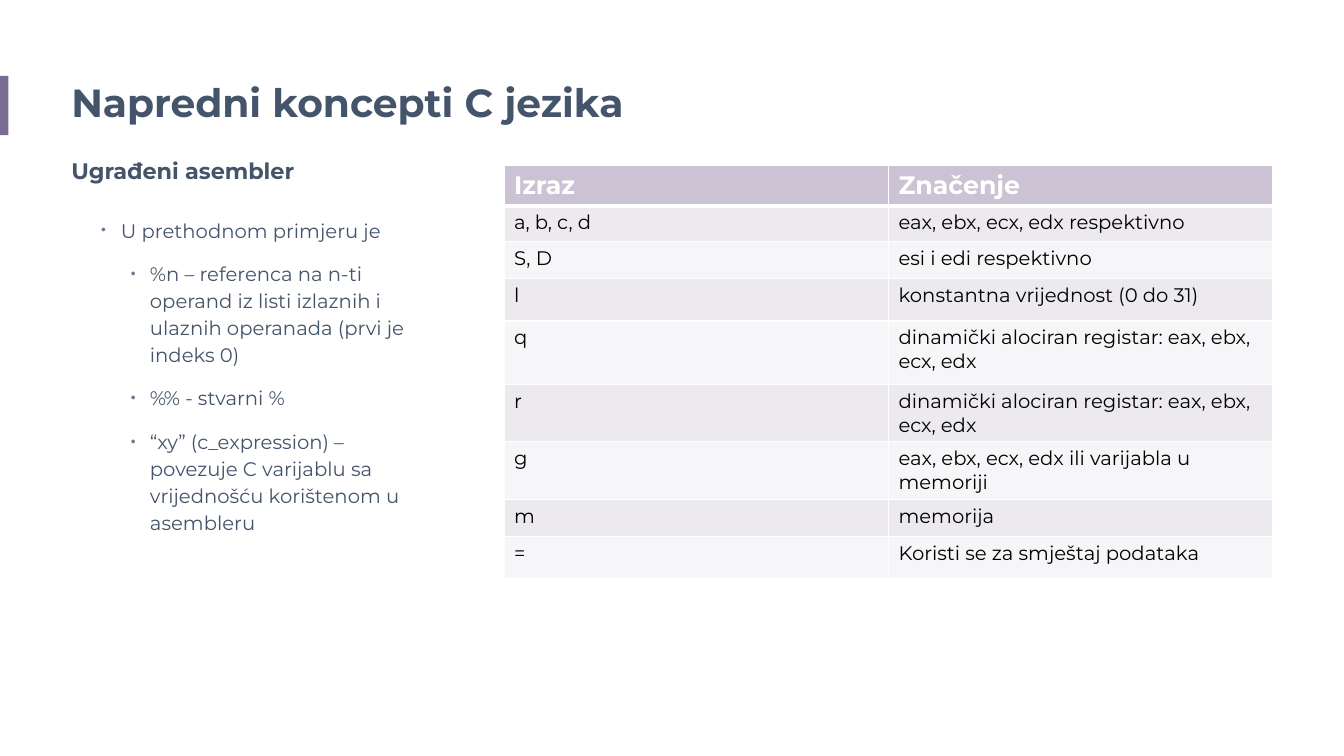
from lxml.etree import SubElement
from pptx import Presentation
from pptx.dml.color import RGBColor
from pptx.enum.shapes import MSO_SHAPE
from pptx.enum.text import MSO_ANCHOR
from pptx.oxml.ns import qn
from pptx.util import Cm, Pt

COLORS = {
    "accent": "7B6C93", "bullet": "846E96", "text": "44546A",
    "header": "CBC3D3", "odd": "ECE9EF", "even": "F6F5F7",
    "white": "FFFFFF", "black": "000000",
}
FONT = "Montserrat"


def write(para, text, size=14, color="text", bold=False, spacing=None, before=0, after=0):
    para.line_spacing = spacing
    para.space_before, para.space_after = Pt(before), Pt(after)
    span = para.add_run()
    span.text = text
    span.font.name, span.font.size, span.font.bold = FONT, Pt(size), bold
    span.font.color.rgb = RGBColor.from_string(COLORS[color])


def add_solid(parent, color):
    fill = SubElement(parent, qn("a:solidFill"))
    SubElement(fill, qn("a:srgbClr"), val=COLORS[color])


deck = Presentation()
deck.slide_width, deck.slide_height = Cm(33.87), Cm(19.05)
page = deck.slides.add_slide(deck.slide_layouts[6])

# Accent bar at the left edge
bar = page.shapes.add_shape(MSO_SHAPE.RECTANGLE, Cm(0), Cm(1.91), Cm(0.21), Cm(1.5))
bar.shadow.inherit = False
bar.fill.solid()
bar.fill.fore_color.rgb = RGBColor.from_string(COLORS["accent"])
bar.line.fill.background()

# Title
title = page.shapes.add_textbox(Cm(1.55), Cm(1.98), Cm(23.14), Cm(1.32)).text_frame
title.word_wrap = True
title.vertical_anchor = MSO_ANCHOR.MIDDLE
write(title.paragraphs[0], "Napredni koncepti C jezika", size=28, bold=True, spacing=0.9)

# Subtitle and bullets: text, level, left margin, hanging indent, space before
body = page.shapes.add_textbox(Cm(1.55), Cm(4.17), Cm(9.68), Cm(13.18)).text_frame
body.word_wrap = True
write(body.paragraphs[0], "Ugrađeni asembler", size=16, bold=True, spacing=Pt(10))

bullets = [
    ("U prethodnom primjeru je", 1, 1.25, 0.5, 22),
    ("%n – referenca na n-ti operand iz listi izlaznih i ulaznih operanada (prvi je indeks 0)",
     2, 1.98, 0.48, 6),
    ("%% - stvarni %", 2, 1.98, 0.48, 6),
    ("“xy” (c_expression) – povezuje C varijablu sa vrijednošću korištenom u asembleru",
     2, 1.98, 0.48, 6),
]
for text, level, margin, hanging, before in bullets:
    para = body.add_paragraph()
    para.level = level
    properties = para._p.get_or_add_pPr()
    properties.set("marL", str(Cm(margin)))
    properties.set("indent", str(-Cm(hanging)))
    bullet_color = SubElement(properties, qn("a:buClr"))
    SubElement(bullet_color, qn("a:srgbClr"), val=COLORS["bullet"])
    SubElement(properties, qn("a:buSzPct"), val="70000")
    SubElement(properties, qn("a:buFont"), typeface="Arial")
    SubElement(properties, qn("a:buChar"), char="•")
    write(para, text, spacing=1.14, before=before, after=6)

# Table of operand constraints: expression, meaning, row height
rows = [
    ("Izraz", "Značenje", 0.94),
    ("a, b, c, d", "eax, ebx, ecx, edx respektivno", 0.89),
    ("S, D", "esi i edi respektivno", 0.94),
    ("l", "konstantna vrijednost (0 do 31)", 1.07),
    ("q", "dinamički alociran registar: eax, ebx, ecx, edx", 1.6),
    ("r", "dinamički alociran registar: eax, ebx, ecx, edx", 1.4),
    ("g", "eax, ebx, ecx, edx ili varijabla u memoriji", 1.45),
    ("m", "memorija", 0.94),
    ("=", "Koristi se za smještaj podataka", 1.07),
]
table = page.shapes.add_table(
    len(rows), 2, Cm(12.7), Cm(4.17), Cm(19.38), Cm(sum(row[2] for row in rows))).table
table.horz_banding = False
for column in table.columns:
    column.width = Cm(9.69)

for number, (expression, meaning, height) in enumerate(rows):
    table.rows[number].height = Cm(height)
    header = number == 0
    band = "header" if header else "odd" if number % 2 else "even"
    widths = {"lnL": 1, "lnR": 1, "lnT": 3 if number == 1 else 1, "lnB": 3 if header else 1}
    for cell, text in zip(table.rows[number].cells, (expression, meaning)):
        cell_properties = cell._tc.get_or_add_tcPr()
        for side, width in widths.items():
            border = SubElement(cell_properties, qn(f"a:{side}"), w=str(Pt(width)))
            add_solid(border, "white")
        cell.fill.solid()
        cell.fill.fore_color.rgb = RGBColor.from_string(COLORS[band])
        write(cell.text_frame.paragraphs[0], text, size=18 if header else 14,
              color="white" if header else "black", bold=header)

deck.save("out.pptx")
